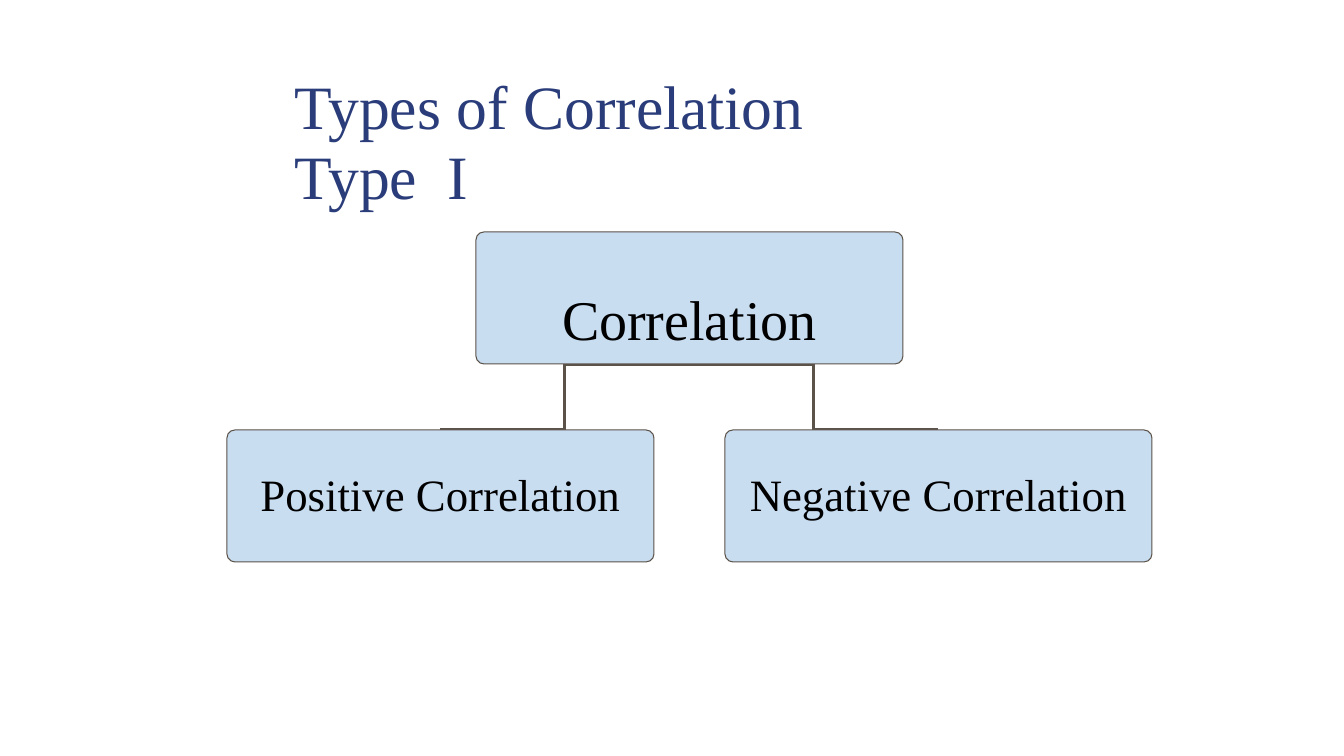
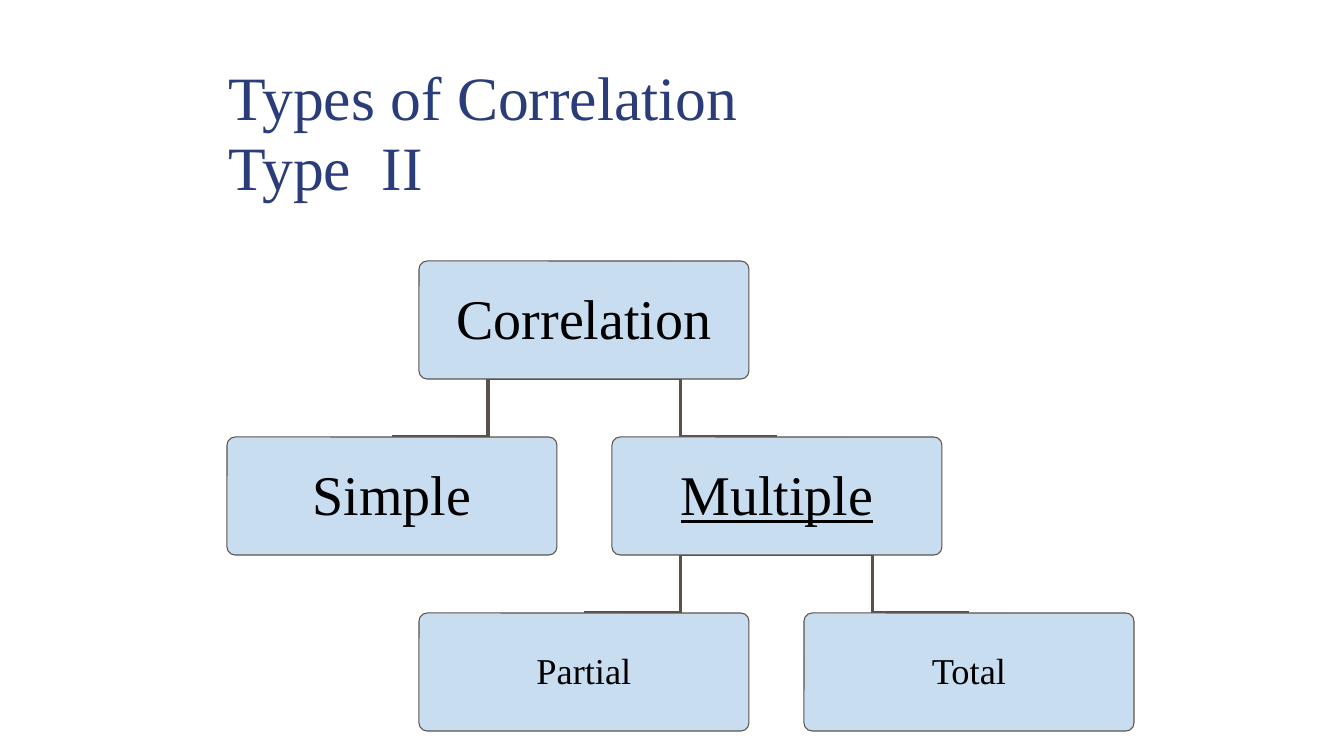
from dataclasses import dataclass

from lxml.etree import SubElement
from pptx import Presentation
from pptx.dml.color import RGBColor
from pptx.enum.shapes import MSO_CONNECTOR, MSO_SHAPE
from pptx.enum.text import MSO_ANCHOR, MSO_AUTO_SIZE, PP_ALIGN
from pptx.oxml.ns import qn
from pptx.util import Emu, Pt

# Shared style
FONT = "Times New Roman"
NAVY, BROWN, PALE_BLUE, BLACK = "2A3D7A", "5B5249", "C9DDF1", "000000"
LINE_SPACING = 0.95
CORNER = 8
BOX_INSET = 7
PX_PER_INCH = 100.8


@dataclass(frozen=True)
class Node:
    label: str
    row: int
    half_column: int
    size: int
    parent: str = ""
    underline: bool = False
    text_drop: int = 0


@dataclass(frozen=True)
class Tree:
    left: int
    top: int
    box_width: int
    box_height: int
    column_pitch: int
    row_pitch: int
    nodes: tuple[Node, ...]

    def corner_of(self, node: Node) -> tuple[int, int]:
        return (self.left + node.half_column * self.column_pitch // 2,
                self.top + node.row * self.row_pitch)


@dataclass(frozen=True)
class Title:
    text: str
    left: int
    top: int
    width: int
    height: int = 152


def px(length: int) -> Emu:
    return Emu(round(length * 914400 / PX_PER_INCH))


def color(hex_value: str) -> RGBColor:
    return RGBColor.from_string(hex_value)


def style_text(paragraph, size: int, hex_value: str, underline: bool = False) -> None:
    paragraph.line_spacing = LINE_SPACING
    for run in paragraph.runs:
        run.font.name = FONT
        run.font.size = Pt(size)
        run.font.color.rgb = color(hex_value)
        if underline:
            run.font.underline = True


def draw_title(slide, title: Title) -> None:
    heading = slide.shapes.add_textbox(
        px(title.left), px(title.top), px(title.width), px(title.height))
    frame = heading.text_frame
    frame.word_wrap = True
    frame.auto_size = MSO_AUTO_SIZE.SHAPE_TO_FIT_TEXT
    frame.vertical_anchor = MSO_ANCHOR.BOTTOM
    frame.text = title.text
    style_text(frame.paragraphs[0], 44, NAVY)


def draw_branch(slide, tree: Tree, child: Node, parent: Node) -> None:
    child_left, child_top = tree.corner_of(child)
    parent_left, parent_top = tree.corner_of(parent)
    middle = tree.box_width // 2
    branch = slide.shapes.add_connector(
        MSO_CONNECTOR.ELBOW,
        px(child_left + middle), px(child_top),
        px(parent_left + middle), px(parent_top + tree.box_height))
    branch.line.color.rgb = color(BROWN)
    branch.line.width = Pt(2.25)
    SubElement(branch._element.spPr, qn("a:effectLst"))


def draw_node(slide, tree: Tree, node: Node) -> None:
    left, top = tree.corner_of(node)
    box = slide.shapes.add_shape(
        MSO_SHAPE.ROUNDED_RECTANGLE,
        px(left), px(top), px(tree.box_width), px(tree.box_height))
    box.shadow.inherit = False
    box.adjustments[0] = CORNER / tree.box_height
    box.fill.solid()
    box.fill.fore_color.rgb = color(PALE_BLUE)
    box.line.color.rgb = color(BROWN)
    box.line.width = Pt(0.75)
    frame = box.text_frame
    frame.word_wrap = True
    frame.vertical_anchor = MSO_ANCHOR.MIDDLE
    frame.margin_left = frame.margin_right = frame.margin_bottom = px(BOX_INSET)
    frame.margin_top = px(BOX_INSET + node.text_drop)
    frame.text = node.label
    frame.paragraphs[0].alignment = PP_ALIGN.CENTER
    style_text(frame.paragraphs[0], node.size, BLACK, node.underline)


def draw_tree(slide, tree: Tree) -> None:
    by_label = {node.label: node for node in tree.nodes}
    # Branches lie behind the boxes
    for node in reversed(tree.nodes):
        if node.parent:
            draw_branch(slide, tree, node, by_label[node.parent])
    for node in tree.nodes:
        draw_node(slide, tree, node)


# Content: a title and a tree for each slide
SLIDES = (
    (Title("Types of Correlation \vType  I", 285, 67, 857),
     Tree(227, 232, 427, 132, 498, 198, (
         Node("Correlation", 0, 1, 40, text_drop=47),
         Node("Positive Correlation", 1, 0, 32, "Correlation"),
         Node("Negative Correlation", 1, 2, 32, "Correlation"),
     ))),
    (Title("Types of Correlation \vType  II", 219, 58, 907),
     Tree(227, 261, 330, 118, 385, 176, (
         Node("Correlation", 0, 1, 40),
         Node("Simple", 1, 0, 40, "Correlation"),
         Node("Multiple", 1, 2, 40, "Correlation", underline=True),
         Node("Partial", 2, 1, 26, "Multiple"),
         Node("Total", 2, 3, 26, "Multiple"),
     ))),
)


def main() -> None:
    deck = Presentation()
    deck.slide_width, deck.slide_height = px(1344), px(756)
    for title, tree in SLIDES:
        slide = deck.slides.add_slide(deck.slide_layouts[6])
        draw_title(slide, title)
        draw_tree(slide, tree)
    deck.save("out.pptx")


if __name__ == "__main__":
    main()
